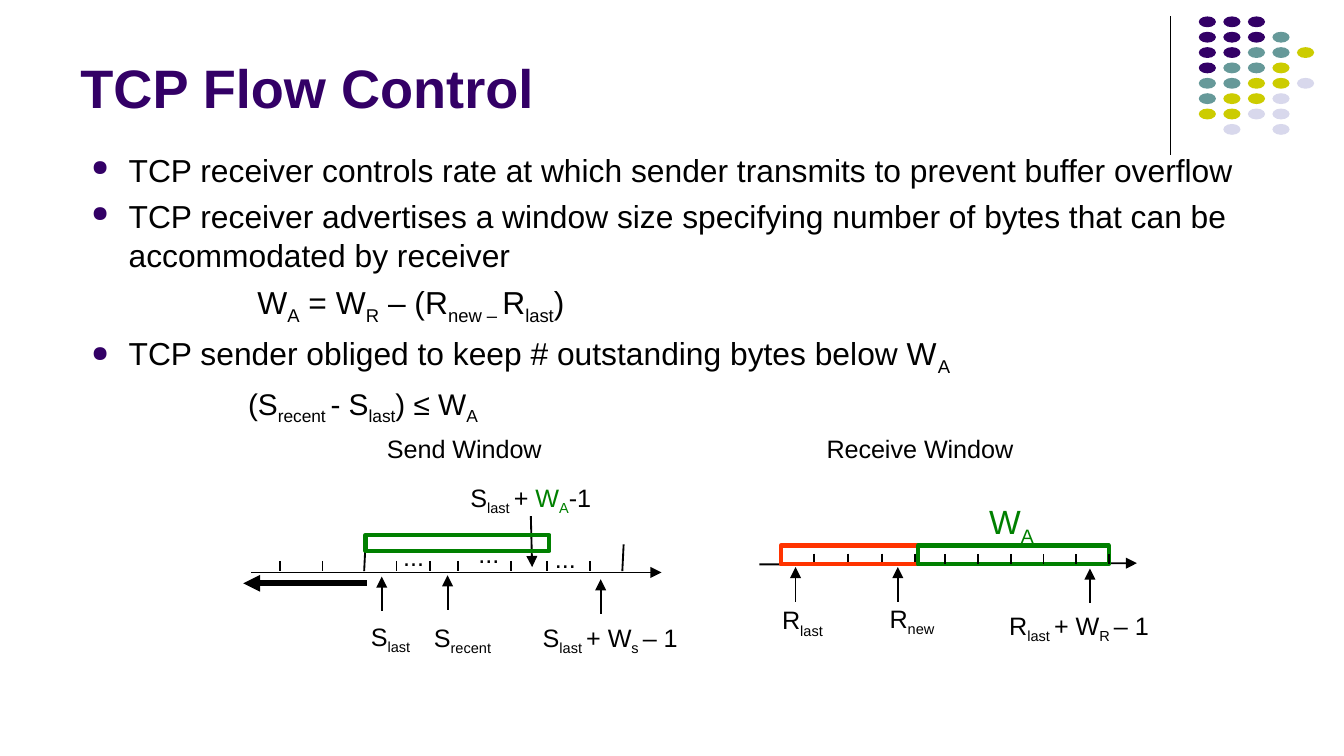
from dataclasses import dataclass

from lxml.etree import SubElement
from pptx import Presentation
from pptx.dml.color import RGBColor
from pptx.enum.shapes import MSO_CONNECTOR as Connector, MSO_SHAPE as Shape
from pptx.enum.text import MSO_ANCHOR as Anchor, MSO_AUTO_SIZE as AutoSize
from pptx.oxml.ns import qn
from pptx.util import Pt


@dataclass(frozen=True)
class Theme:
    font: str = "Arial"
    ink: str = "000000"
    purple: str = "330066"
    teal: str = "669999"
    olive: str = "CCCC00"
    lilac: str = "D8D8EC"
    green: str = "008000"
    red: str = "FF3300"
    title: float = 29
    body: float = 17
    formula: float = 16
    label: float = 13.5
    window: float = 18


def write(para, text, *, theme, size, color, bold=False):
    """Add text to a paragraph, with every second part between bars as a subscript."""
    for index, part in enumerate(text.split("|")):
        if not part:
            continue
        span = para.add_run()
        span.text = part
        span.font.name = theme.font
        span.font.size = Pt(size)
        span.font.bold = bold
        span.font.color.rgb = RGBColor.from_string(color)
        if index % 2:
            span.font._element.set("baseline", "-25000")


class Slide:
    """Draws styled elements on one page, measured in points."""

    def __init__(self, page, theme):
        self.page = page
        self.theme = theme

    def frame(self, left, top, width, height, inset=(7.2, 3.6), wrap=True):
        box = self.page.shapes.add_textbox(Pt(left), Pt(top), Pt(width), Pt(height))
        frame = box.text_frame
        frame.word_wrap = wrap
        frame.margin_left = frame.margin_right = Pt(inset[0])
        frame.margin_top = frame.margin_bottom = Pt(inset[1])
        return frame

    def title(self, text, *place):
        frame = self.frame(*place)
        frame.vertical_anchor = Anchor.BOTTOM
        write(frame.paragraphs[0], text, theme=self.theme, size=self.theme.title,
              color=self.theme.purple, bold=True)

    def body(self, items, *place):
        frame = self.frame(*place)
        for index, (text, indent, size) in enumerate(items):
            para = frame.add_paragraph() if index else frame.paragraphs[0]
            para.line_spacing = 1.04
            para.space_before = Pt(3.5 if index else 0)
            self.indent(para, indent)
            write(para, text, theme=self.theme, size=size, color=self.theme.ink)

    def indent(self, para, indent):
        props = para._p.get_or_add_pPr()
        props.set("marL", str(Pt(indent or 20)))
        props.set("indent", str(0 if indent else -Pt(20)))
        if indent:
            SubElement(props, qn("a:buNone"))
            return
        tint = SubElement(props, qn("a:buClr"))
        SubElement(tint, qn("a:srgbClr"), val=self.theme.purple)
        SubElement(props, qn("a:buSzPct"), val="70000")
        SubElement(props, qn("a:buChar"), char="●")

    def label(self, left, top, width, *pieces, size=None, height=21.6):
        frame = self.frame(left, top, width, height, inset=(5, 2.9), wrap=False)
        frame.auto_size = AutoSize.SHAPE_TO_FIT_TEXT
        for text, color in pieces:
            write(frame.paragraphs[0], text, theme=self.theme,
                  size=size or self.theme.label, color=color)

    def line(self, x1, y1, x2, y2, width=1, tip=None):
        line = self.page.shapes.add_connector(
            Connector.STRAIGHT, Pt(x1), Pt(y1), Pt(x2), Pt(y2))
        line.line.width = Pt(width)
        line.line.color.rgb = RGBColor.from_string(self.theme.ink)
        if tip:
            SubElement(line.line._get_or_add_ln(), qn(f"a:{tip}End"), type="triangle")
        SubElement(line._element.spPr, qn("a:effectLst"))

    def ticks(self, places, top, bottom):
        for x in places:
            self.line(x, top, x, bottom)

    def pointers(self, places):
        for x, top in places:
            self.line(x, top, x, top + 18.7, tip="head")

    def shape(self, kind, left, top, width, height, fill=None, outline=None):
        shape = self.page.shapes.add_shape(kind, Pt(left), Pt(top), Pt(width), Pt(height))
        shape.shadow.inherit = False
        if fill:
            shape.fill.solid()
            shape.fill.fore_color.rgb = RGBColor.from_string(fill)
        else:
            shape.fill.background()
        if outline:
            shape.line.color.rgb = RGBColor.from_string(outline)
            shape.line.width = Pt(2.25)
        else:
            shape.line.fill.background()

    def dots(self, rows, left, top):
        theme = self.theme
        colors = {"P": theme.purple, "T": theme.teal, "Y": theme.olive, "L": theme.lilac}
        for row, marks in enumerate(rows):
            for column, mark in enumerate(marks):
                if mark in colors:
                    self.shape(Shape.OVAL, left + column * 13.15, top + row * 8.23,
                               9.2, 5.8, fill=colors[mark])


def draw_send_window(slide):
    """Draw the sender's byte line with its pointers."""
    ink, green = slide.theme.ink, slide.theme.green
    slide.label(202.3, 229, 95, ("Send Window", ink))
    slide.line(134.6, 306.7, 354.4, 306.7, tip="tail")
    slide.line(196.6, 312.5, 130.3, 312.5, width=3, tip="tail")
    slide.ticks((149.8, 172.8, 212.4, 230.4, 245.5, 273.6, 293, 316.1), 300.5, 305.8)
    for x in (195.8, 334.1):
        slide.line(x, 291.6, x - 0.7, 306)
    slide.pointers(((204.5, 308.9), (239.8, 308.2), (321.8, 310.3)))
    slide.line(284.4, 276.5, 285.1, 303.8, tip="tail")
    for left, top in ((211, 287.3), (251.3, 285.8), (292.3, 288)):
        slide.label(left, top, 22.3, ("...", ink))
    slide.label(193.7, 329.8, 33.8, ("S|last", ink))
    slide.label(227.5, 330.5, 45.4, ("S|recent", ink))
    slide.label(285.8, 330.5, 90.7, ("S|last |+ W|s |– 1", ink))
    slide.label(247, 255.6, 78.5, ("S|last |+ ", ink), ("W|A", green), ("-1", ink))
    slide.shape(Shape.RECTANGLE, 195.8, 286.6, 98.6, 8.6, outline=green)


def draw_receive_window(slide):
    """Draw the receiver's byte line with its pointers."""
    theme = slide.theme
    slide.label(437.8, 229, 112.3, ("Receive Window", theme.ink))
    slide.line(406.8, 302.4, 609.1, 301.7, tip="tail")
    slide.ticks([418.3 + 18 * step for step in range(5)], 296.6, 301.7)
    slide.shape(Shape.RECTANGLE, 418.3, 292.3, 73.4, 10.1, outline=theme.red)
    slide.shape(Shape.RECTANGLE, 491.8, 292.3, 102.2, 10.1, outline=theme.green)
    slide.ticks([506.2 + 17.6 * step for step in range(6)], 296.9, 302.2)
    slide.pointers(((426.2, 303.8), (481, 303.8), (583.9, 304.6)))
    slide.label(414, 321.1, 34.6, ("R|last", theme.ink))
    slide.label(471.6, 320.4, 37.4, ("R|new", theme.ink))
    slide.label(535.7, 324, 93.6, ("R|last |+ W|R |– 1", theme.ink))
    slide.label(524.9, 265.7, 34.5, ("W|A", theme.green), size=theme.window, height=27)


def main():
    """Build the slide and save it."""
    deck = Presentation()
    deck.slide_width, deck.slide_height = Pt(720), Pt(405)
    theme = Theme()
    slide = Slide(deck.slides.add_slide(deck.slide_layouts[6]), theme)
    slide.line(627.1, 8.6, 627.1, 82.8, width=0.75)
    slide.dots(("PPP", "PPPT", "PPTTY", "PTTY", "TTYYL", "TYYL", "YYLL", ".L.L"),
               642.2, 8.8)
    slide.title("TCP Flow Control", 36, 7.2, 594, 60.5)
    slide.body((
        ("TCP receiver controls rate at which sender transmits to prevent buffer overflow",
         None, theme.body),
        ("TCP receiver advertises a window size specifying number of bytes that can be "
         "accommodated by receiver", None, theme.body),
        ("W|A| = W|R| – (R|new – |R|last|)", 89, theme.body),
        ("TCP sender obliged to keep # outstanding bytes below W|A", None, theme.body),
        ("(S|recent |- S|last|) ≤ W|A", 84, theme.formula),
    ), 41.8, 76.3, 634.3, 110.9)
    draw_receive_window(slide)
    draw_send_window(slide)
    deck.save("out.pptx")


if __name__ == "__main__":
    main()
